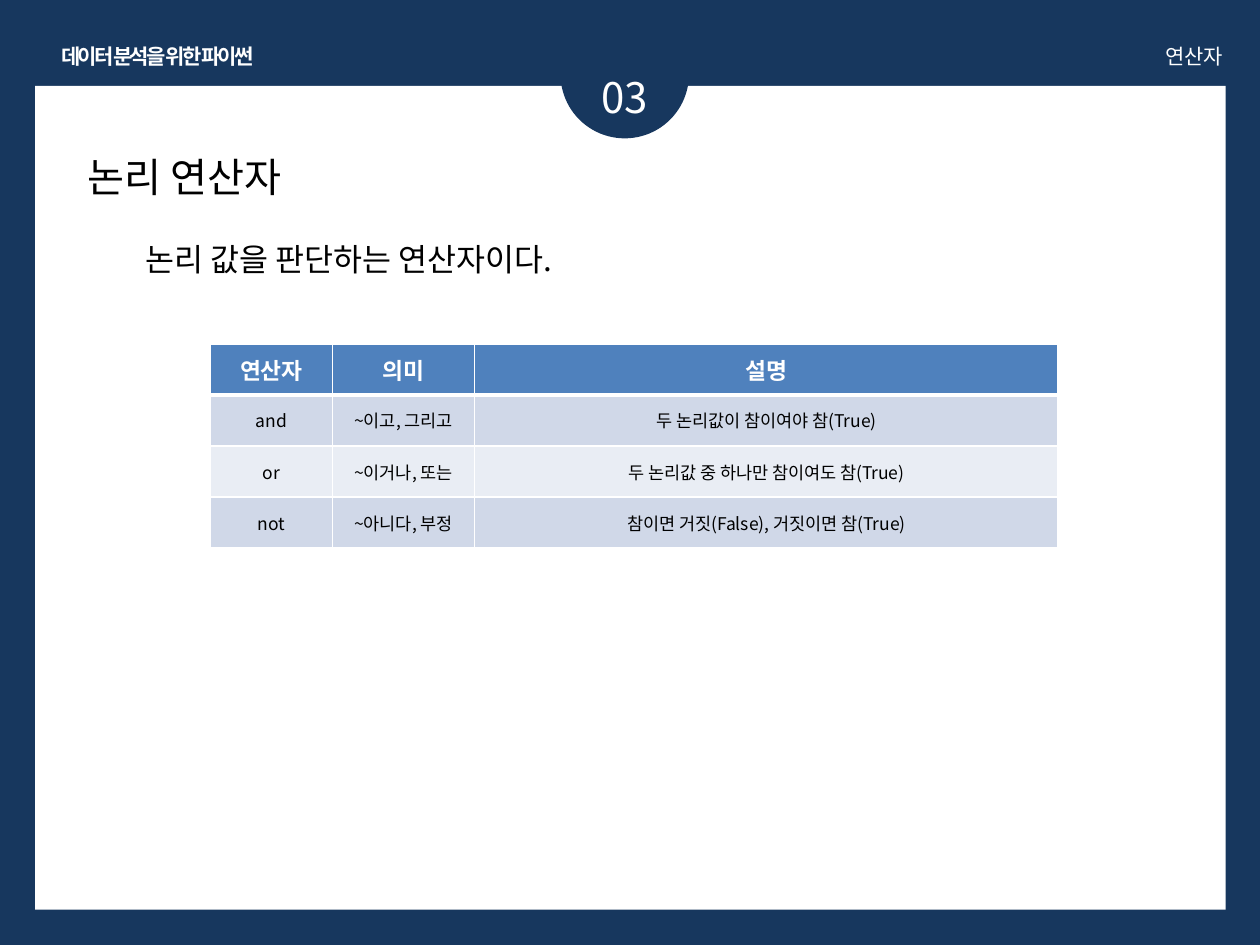
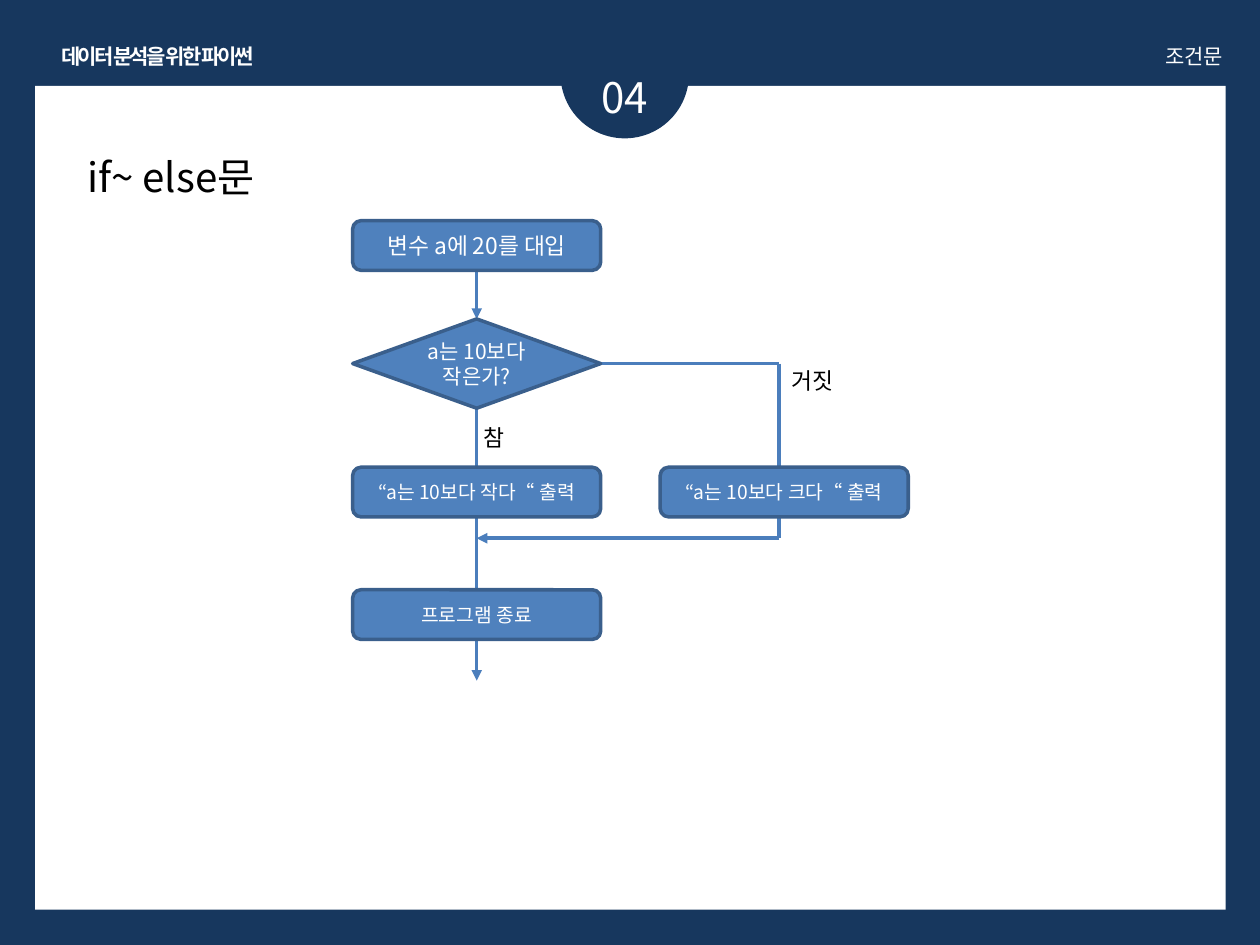
from lxml import etree
from pptx import Presentation
from pptx.dml.color import RGBColor
from pptx.enum import shapes, text
from pptx.oxml import ns
from pptx.util import Cm, Pt

NAVY = RGBColor(0x17, 0x37, 0x5E)
WHITE = RGBColor(0xFF, 0xFF, 0xFF)
BLACK = RGBColor(0, 0, 0)
BLUE = RGBColor(0x4F, 0x81, 0xBD)
EDGE = RGBColor(0x3A, 0x5F, 0x8C)
WIRE = RGBColor(0x4B, 0x7E, 0xBC)
BANDS = RGBColor(0xD0, 0xD8, 0xE8), RGBColor(0xE9, 0xED, 0xF4)
FONT = "Noto Sans CJK KR"
COURSE = "데이터 분석을 위한 파이썬"

LEFT, CENTER, RIGHT = text.PP_ALIGN.LEFT, text.PP_ALIGN.CENTER, text.PP_ALIGN.RIGHT
TOP, MIDDLE = text.MSO_ANCHOR.TOP, text.MSO_ANCHOR.MIDDLE
KIND = shapes.MSO_SHAPE


def tag(parent, name, **attrs):
    return etree.SubElement(parent, ns.qn(name), **attrs)


def write(frame, words, size, color=BLACK, bold=False, align=LEFT,
          anchor=TOP, wrap=True, track=None):
    """Fill a text frame with one formatted run; track is letter spacing in points."""
    frame.word_wrap = wrap
    frame.vertical_anchor = anchor
    para = frame.paragraphs[0]
    para.alignment = align
    run = para.add_run()
    run.text = words
    font = run.font
    font.size, font.bold, font.name = Pt(size), bold, FONT
    font.color.rgb = color
    props = run._r.get_or_add_rPr()
    tag(props, "a:ea", typeface=FONT)
    if track is not None:
        props.set("spc", str(int(track * 100)))


def edge(cell, side, width):
    line = tag(cell._tc.get_or_add_tcPr(), f"a:ln{side}", w=str(Pt(width)))
    tag(tag(line, "a:solidFill"), "a:srgbClr", val=str(WHITE))


class Deck:
    def __init__(self):
        self.show = Presentation()
        self.show.slide_width, self.show.slide_height = Cm(25.4), Cm(19.05)
        self.slide = None

    def page(self, number, topic, title):
        """Start a slide with the shared frame, header and title."""
        self.slide = self.show.slides.add_slide(self.show.slide_layouts[5])
        fill = self.slide.background.fill
        fill.solid()
        fill.fore_color.rgb = NAVY
        panel = self.shape(KIND.RECTANGLE, 0.71, 1.73, 24, 16.61, WHITE)
        # The panel goes behind the title placeholder.
        self.slide.shapes._spTree.insert(2, panel._element)
        self.shape(KIND.OVAL, 11.3, 0.2, 2.59, 2.59, NAVY)
        self.label(COURSE, 0.71, 0.76, 4.93, 0.76, size=12, color=WHITE,
                   bold=True, align=CENTER, wrap=False, track=-1.5)
        self.label(number, 11.1, 1.32, 3, 1.27, size=24, color=WHITE, align=CENTER)
        self.label(topic, 14.91, 0.76, 10, 0.76, size=12, color=WHITE, align=RIGHT)
        head = self.slide.shapes.title
        head.left, head.top = Cm(1.5), Cm(2.95)
        head.width, head.height = Cm(22.2), Cm(1.24)
        head.text_frame.auto_size = text.MSO_AUTO_SIZE.NONE
        write(head.text_frame, title, size=23)

    def label(self, words, x, y, w, h, **style):
        box = self.slide.shapes.add_textbox(Cm(x), Cm(y), Cm(w), Cm(h))
        write(box.text_frame, words, **style)

    def shape(self, kind, x, y, w, h, color, line=None):
        item = self.slide.shapes.add_shape(kind, Cm(x), Cm(y), Cm(w), Cm(h))
        item.shadow.inherit = False
        item.fill.solid()
        item.fill.fore_color.rgb = color
        if line is None:
            item.line.fill.background()
        else:
            item.line.color.rgb = line
            item.line.width = Pt(2)
        return item

    def step(self, words, x, y, w, h, size, kind=KIND.ROUNDED_RECTANGLE):
        """Draw one flowchart node."""
        node = self.shape(kind, x, y, w, h, BLUE, EDGE)
        write(node.text_frame, words, size=size, color=WHITE,
              align=CENTER, anchor=MIDDLE)

    def line(self, x1, y1, x2, y2, arrow=False):
        wire = self.slide.shapes.add_connector(
            shapes.MSO_CONNECTOR.STRAIGHT, Cm(x1), Cm(y1), Cm(x2), Cm(y2))
        wire.line.color.rgb = WIRE
        wire.line.width = Pt(2)
        if arrow:
            tag(wire.line._get_or_add_ln(), "a:tailEnd", type="triangle")
        tag(wire._element.spPr, "a:effectLst")

    def table(self, rows, x, y, widths, height):
        grid = self.slide.shapes.add_table(
            len(rows), len(widths), Cm(x), Cm(y),
            Cm(sum(widths)), Cm(height * len(rows))).table
        for col, width in zip(grid.columns, widths):
            col.width = Cm(width)
        for r, row in enumerate(rows):
            grid.rows[r].height = Cm(height)
            head = r == 0
            for c, words in enumerate(row):
                cell = grid.cell(r, c)
                for side in "LRTB":
                    thick = (r, side) in ((0, "B"), (1, "T"))
                    edge(cell, side, 3 if thick else 1)
                cell.fill.solid()
                cell.fill.fore_color.rgb = BLUE if head else BANDS[(r - 1) % 2]
                cell.vertical_anchor = MIDDLE
                write(cell.text_frame, words, size=13 if head else 10, bold=head,
                      color=WHITE if head else BLACK, align=CENTER, anchor=None)


def logic(deck):
    deck.page("03", "연산자", "논리 연산자")
    deck.label("논리 값을 판단하는 연산자이다.", 2.69, 4.72, 20, 1.02, size=18)
    deck.table([
        ("연산자", "의미", "설명"),
        ("and", "~이고, 그리고", "두 논리값이 참이여야 참(True)"),
        ("or", "~이거나, 또는", "두 논리값 중 하나만 참이여도 참(True)"),
        ("not", "~아니다, 부정", "참이면 거짓(False), 거짓이면 참(True)"),
    ], 4.24, 6.93, (2.46, 2.87, 11.76), 1.03)


def branch(deck):
    deck.page("04", "조건문", "if~ else문")
    left, right, wide, high = 7.11, 13.31, 5, 1
    start, test, print_y, end = 4.45, 6.43, 9.42, 11.89
    deep = 1.8
    main, side = left + wide / 2, 15.7
    fork, join = test + deep / 2, 10.85

    deck.line(main, start + high, main, test, arrow=True)
    deck.line(main, test + deep, main, 13.72, arrow=True)
    deck.line(left + wide, fork, side, fork)
    deck.line(side, fork, side, join)
    deck.line(side, join, main, join, arrow=True)

    deck.step("a는 10보다 작은가?", left, test, wide, deep, 12, KIND.DIAMOND)
    for words, x, y, size in (
            ("변수 a에 20를 대입", left, start, 13),
            ("“a는 10보다 작다“ 출력", left, print_y, 11),
            ("“a는 10보다 크다“ 출력", right, print_y, 11),
            ("프로그램 종료", left, end, 11)):
        deck.step(words, x, y, wide, high, size)
    deck.label("참", 9.5, 8.41, 0.89, 0.81, size=13)
    deck.label("거짓", side, 7.26, 1.7, 0.81, size=13)


def main():
    deck = Deck()
    logic(deck)
    branch(deck)
    deck.show.save("out.pptx")


if __name__ == "__main__":
    main()
